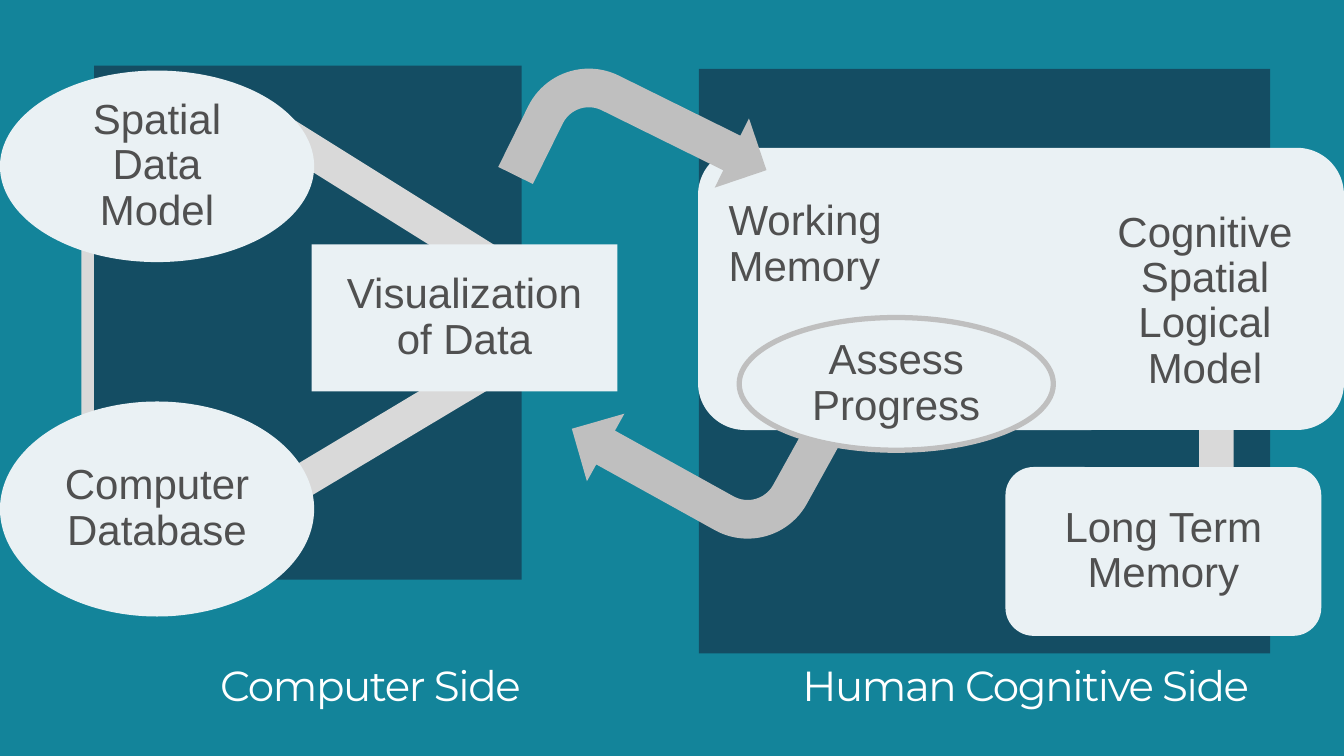
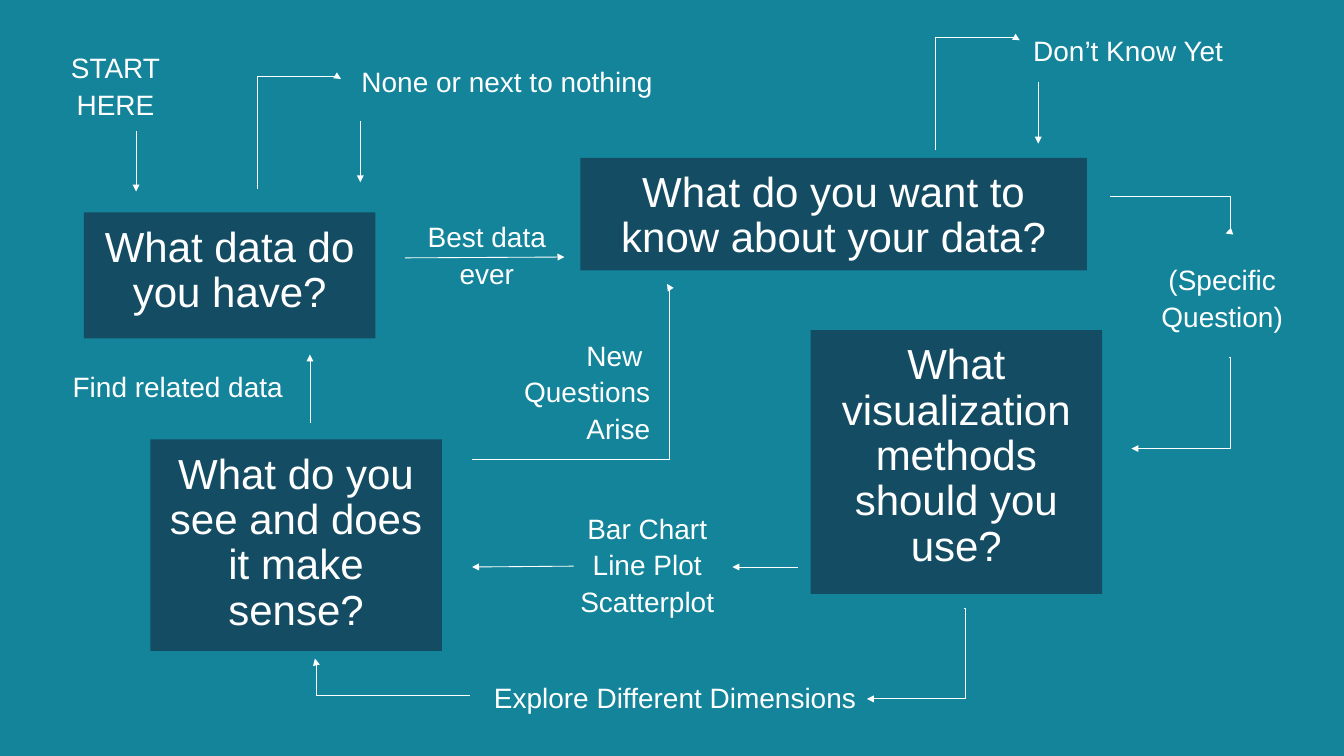
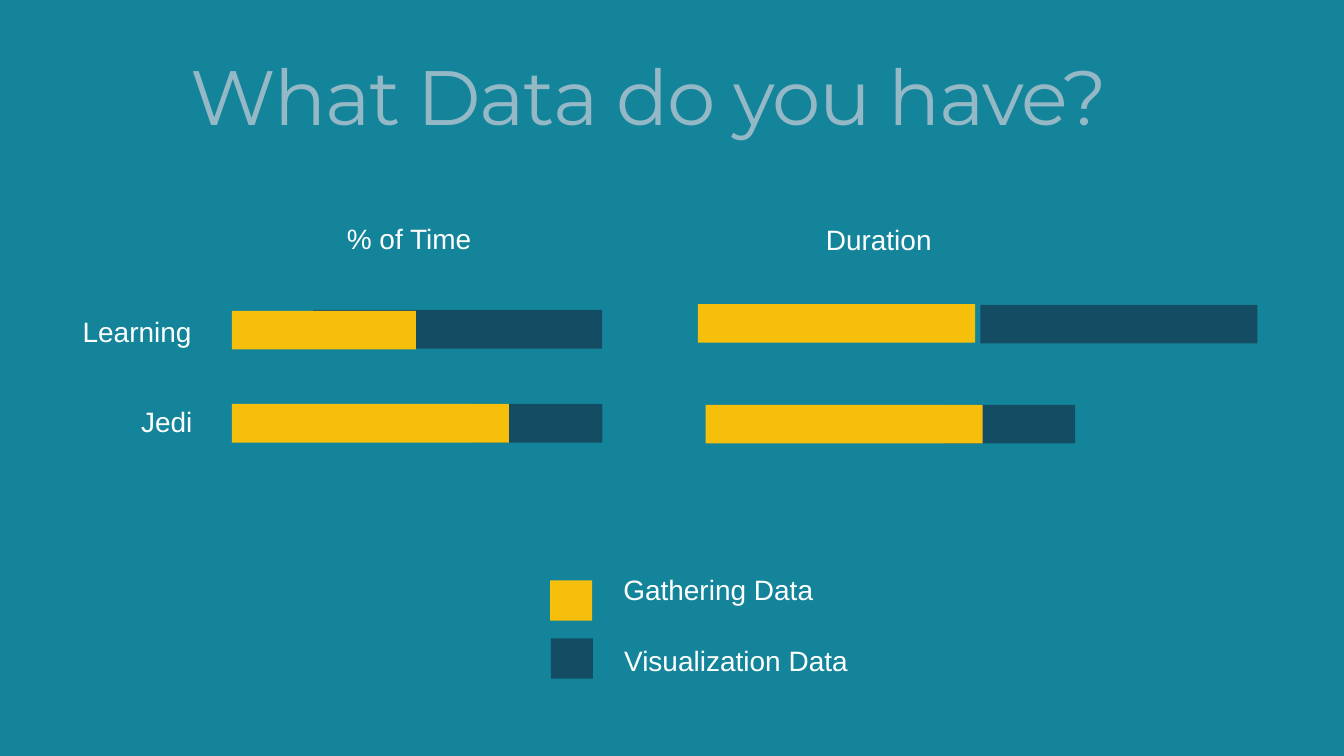
from lxml.etree import SubElement
from pptx import Presentation
from pptx.dml.color import RGBColor
from pptx.enum.shapes import MSO_CONNECTOR as Connector, MSO_SHAPE as Shape
from pptx.enum.text import MSO_ANCHOR as Anchor, MSO_AUTO_SIZE as AutoSize, PP_ALIGN as Align
from pptx.oxml.ns import qn
from pptx.util import Inches, Pt

COLORS = {
    "teal": "13849A", "navy": "144D63", "pale": "EAF1F4", "white": "FFFFFF",
    "ink": "505050", "link": "D9D9D9", "arrow": "BFBFBF", "gold": "F6BF0C",
    "title": "95B8C7",
}
SHAPE_INSETS = (0.2, 0.16, 0.2, 0.16)
TEXT_INSETS = (0.16, 0.1, 0.16, 0.1)
LINK_LENGTH = 3.94
BAR_HEIGHT = 0.46


def color(name):
    return RGBColor.from_string(COLORS[name])


def new_slide(presentation):
    slide = presentation.slides.add_slide(presentation.slide_layouts[6])
    slide.background.fill.solid()
    slide.background.fill.fore_color.rgb = color("teal")
    return slide


# Text
def write(frame, lines, size, ink, insets, font="Arial", align=Align.CENTER,
          anchor=Anchor.TOP, gap=0, tracking=0):
    frame.word_wrap = True
    frame.vertical_anchor = anchor
    (frame.margin_left, frame.margin_top,
     frame.margin_right, frame.margin_bottom) = map(Inches, insets)
    for index, line in enumerate(lines):
        paragraph = frame.add_paragraph() if index else frame.paragraphs[0]
        paragraph.alignment = align
        paragraph.line_spacing = 0.9
        paragraph.space_before = Pt(gap if index else 0)
        run = paragraph.add_run()
        run.text = line
        run.font.name = font
        run.font.size = Pt(size)
        run.font.color.rgb = color(ink)
        if tracking:
            run.font._element.set("spc", str(int(tracking * 100)))


def add_text_frame(slide, at):
    return slide.shapes.add_textbox(*map(Inches, at)).text_frame


def add_title(slide, at, text, size=36, ink="white"):
    write(add_text_frame(slide, at), [text], size, ink, TEXT_INSETS,
          font="Montserrat", tracking=-1.2)


def add_label(slide, at, *lines, align=Align.CENTER):
    frame = add_text_frame(slide, at)
    write(frame, lines, 24, "white", TEXT_INSETS, align=align, gap=5.5)
    frame.auto_size = AutoSize.SHAPE_TO_FIT_TEXT


# Shapes
def add_block(slide, at, fill, kind=Shape.RECTANGLE, rotation=0):
    shape = slide.shapes.add_shape(kind, *map(Inches, at))
    shape.shadow.inherit = False
    shape.fill.solid()
    shape.fill.fore_color.rgb = color(fill)
    shape.line.fill.background()
    shape.rotation = rotation
    return shape


def add_node(slide, at, *lines, kind=Shape.RECTANGLE, align=Align.CENTER,
             anchor=Anchor.MIDDLE, insets=SHAPE_INSETS):
    shape = add_block(slide, at, "pale", kind)
    write(shape.text_frame, lines, 36, "ink", insets, align=align, anchor=anchor)
    return shape


def add_question(slide, at, text):
    shape = add_block(slide, at, "navy")
    write(shape.text_frame, [text], 36, "white", SHAPE_INSETS)


def add_link(slide, center_x, center_y, thickness, rotation):
    at = (center_x - LINK_LENGTH / 2, center_y - thickness / 2, LINK_LENGTH, thickness)
    add_block(slide, at, "link", rotation=rotation)


# Arrows
def add_arrow(slide, begin, end, bend=None, upright=False):
    """Straight arrow, or an elbow turning at `bend` of its run; upright leaves vertically."""
    if upright:
        middle_x, middle_y = ((a + b) / 2 for a, b in zip(begin, end))
        begin, end = ((middle_x + y - middle_y, middle_y - x + middle_x)
                      for x, y in (begin, end))
    kind = Connector.STRAIGHT if bend is None else Connector.ELBOW
    connector = slide.shapes.add_connector(kind, *map(Inches, (*begin, *end)))
    connector.line.color.rgb = color("white")
    connector.line.width = Pt(0.75)
    properties = connector._element.spPr
    if upright:
        properties.find(qn("a:xfrm")).set("rot", str(90 * 60000))
    if bend is not None:
        geometry = properties.find(qn("a:prstGeom"))
        guides = geometry.find(qn("a:avLst"))
        if guides is None:
            guides = SubElement(geometry, qn("a:avLst"))
        SubElement(guides, qn("a:gd"), name="adj1", fmla=f"val {round(bend * 100000)}")
    SubElement(properties.find(qn("a:ln")), qn("a:tailEnd"), type="triangle")
    SubElement(properties, qn("a:effectLst"))


# Slides
def build_two_sides(presentation):
    slide = new_slide(presentation)
    add_link(slide, 1.09, 3.78, 0.24, 90)

    # Side panels and captions
    add_block(slide, (8.32, 0.82, 6.8, 6.96), "navy")
    add_block(slide, (1.12, 0.78, 5.09, 6.12), "navy")
    add_title(slide, (1.88, 7.82, 5.06, 1.18), "Computer Side")
    add_title(slide, (9.17, 7.82, 6.08, 1.18), "Human Cognitive Side")

    # Computer side
    add_link(slide, 4.56, 2.33, 0.41, 32)
    add_link(slide, 4.23, 5.35, 0.41, 329.1)
    add_node(slide, (0, 4.78, 3.74, 2.56), "Computer", "Database", kind=Shape.OVAL)
    add_node(slide, (0, 0.84, 3.74, 2.28), "Spatial", "Data", "Model", kind=Shape.OVAL)
    add_node(slide, (3.71, 2.91, 3.64, 1.75), "Visualization of Data")

    # Human side
    add_link(slide, 14.48, 5.43, 0.41, 90)
    add_node(slide, (8.31, 1.76, 7.69, 3.36), "Working", "Memory",
             kind=Shape.ROUNDED_RECTANGLE, align=Align.LEFT, anchor=Anchor.TOP,
             insets=(0.2, 0.45, 0.2, 0.16))
    for left, top, rotation in ((6.19, 0.88, 26.3), (6.85, 4.48, 209)):
        add_block(slide, (left, top, 2.88, 1.84), "arrow", Shape.BENT_ARROW, rotation)
    assess = add_node(slide, (8.8, 3.78, 3.74, 1.58), "Assess", "Progress", kind=Shape.OVAL)
    assess.line.color.rgb = color("arrow")
    assess.line.width = Pt(4.5)
    add_node(slide, (11.97, 5.56, 3.76, 2.01), "Long Term", "Memory",
             kind=Shape.ROUNDED_RECTANGLE)
    write(add_text_frame(slide, (12.94, 2.46, 2.81, 2.28)),
          ["Cognitive", "Spatial", "Logical", "Model"], 36, "ink", (0.1, 0.05, 0.1, 0.05))


def build_question_flow(presentation):
    slide = new_slide(presentation)

    # Questions
    add_question(slide, (1, 2.53, 3.47, 1.5), "What data do you have?")
    add_question(slide, (1.79, 5.23, 3.47, 2.52), "What do you see and does it make sense?")
    add_question(slide, (9.65, 3.93, 3.47, 3.14), "What visualization methods should you use?")
    add_question(slide, (6.91, 1.88, 6.03, 1.34), "What do you want to know about your data?")

    # Answers
    add_label(slide, (0.56, 0.55, 1.63, 1.01), "START", "HERE")
    add_label(slide, (11.73, 0.34, 3.4, 0.57), "Don’t Know Yet")
    add_label(slide, (13.56, 3.07, 1.98, 1.01), "(Specific", "Question)")
    add_label(slide, (5.04, 8.05, 5.99, 0.57), "Explore Different Dimensions")
    add_label(slide, (3.58, 3.97, 4.32, 1.45), "New ", "Questions", "Arise", align=Align.RIGHT)
    add_label(slide, (-0.88, 4.35, 5.99, 0.57), "Find related data")
    add_label(slide, (3.04, 0.71, 5.99, 0.57), "None or next to nothing")
    add_label(slide, (2.8, 2.56, 5.99, 1.01), "Best data", "ever")
    add_label(slide, (4.71, 6.03, 5.99, 1.45), "Bar Chart", "Line Plot", "Scatterplot")

    # Straight arrows
    for begin, end in (
        ((1.62, 1.56), (1.62, 2.28)),
        ((3.69, 5.03), (3.69, 4.22)),
        ((4.82, 3.07), (6.72, 3.06)),
        ((4.29, 1.44), (4.29, 2.17)),
        ((12.36, 0.98), (12.36, 1.71)),
        ((6.83, 6.74), (5.62, 6.75)),
        ((9.5, 6.75), (8.72, 6.75)),
    ):
        add_arrow(slide, begin, end)

    # Elbow arrows
    for begin, end, bend, upright in (
        ((3.06, 2.25), (4.06, 0.94), 1.024, True),
        ((11.14, 1.79), (12.14, 0.48), 1.024, True),
        ((13.22, 2.34), (14.59, 2.78), 1.045, False),
        ((14.63, 4.26), (13.47, 5.34), -0.014, False),
        ((5.62, 5.47), (7.94, 3.38), 1.014, False),
        ((11.48, 7.24), (10.32, 8.32), -0.014, False),
        ((5.59, 8.28), (3.75, 7.84), 0.992, False),
    ):
        add_arrow(slide, begin, end, bend, upright)


def build_time_bars(presentation):
    slide = new_slide(presentation)
    add_title(slide, (1.25, 0.6, 12.94, 1.18), "What Data do you have?", 66, "title")

    # Row and column headings
    for left, top, text in (
        (-2.81, 3.69, "Learning"), (-2.8, 4.76, "Jedi"),
        (0.52, 2.58, "% of Time"), (6, 2.59, "Duration"),
    ):
        add_label(slide, (left, top, 5.25, 0.57), text, align=Align.RIGHT)

    # Bars, gold in front of navy
    for left, top, width, fill in (
        (3.73, 3.69, 3.44, "navy"), (2.76, 3.7, 2.19, "gold"),
        (5.62, 4.81, 1.55, "navy"), (2.76, 4.81, 3.3, "gold"),
        (11.67, 3.63, 3.3, "navy"), (8.31, 3.62, 3.3, "gold"),
        (11.25, 4.82, 1.55, "navy"), (8.4, 4.82, 3.3, "gold"),
    ):
        add_block(slide, (left, top, width, BAR_HEIGHT), fill)

    # Legend
    for left, top, fill, label_top, text in (
        (6.55, 6.91, "gold", 6.76, "Gathering Data"),
        (6.56, 7.6, "navy", 7.61, "Visualization Data"),
    ):
        add_block(slide, (left, top, 0.5, 0.48), fill)
        add_label(slide, (left + 0.71, label_top, 5.25, 0.57), text, align=Align.LEFT)


def main():
    presentation = Presentation()
    presentation.slide_width = Inches(16)
    presentation.slide_height = Inches(9)
    build_two_sides(presentation)
    build_question_flow(presentation)
    build_time_bars(presentation)
    presentation.save("out.pptx")


if __name__ == "__main__":
    main()
